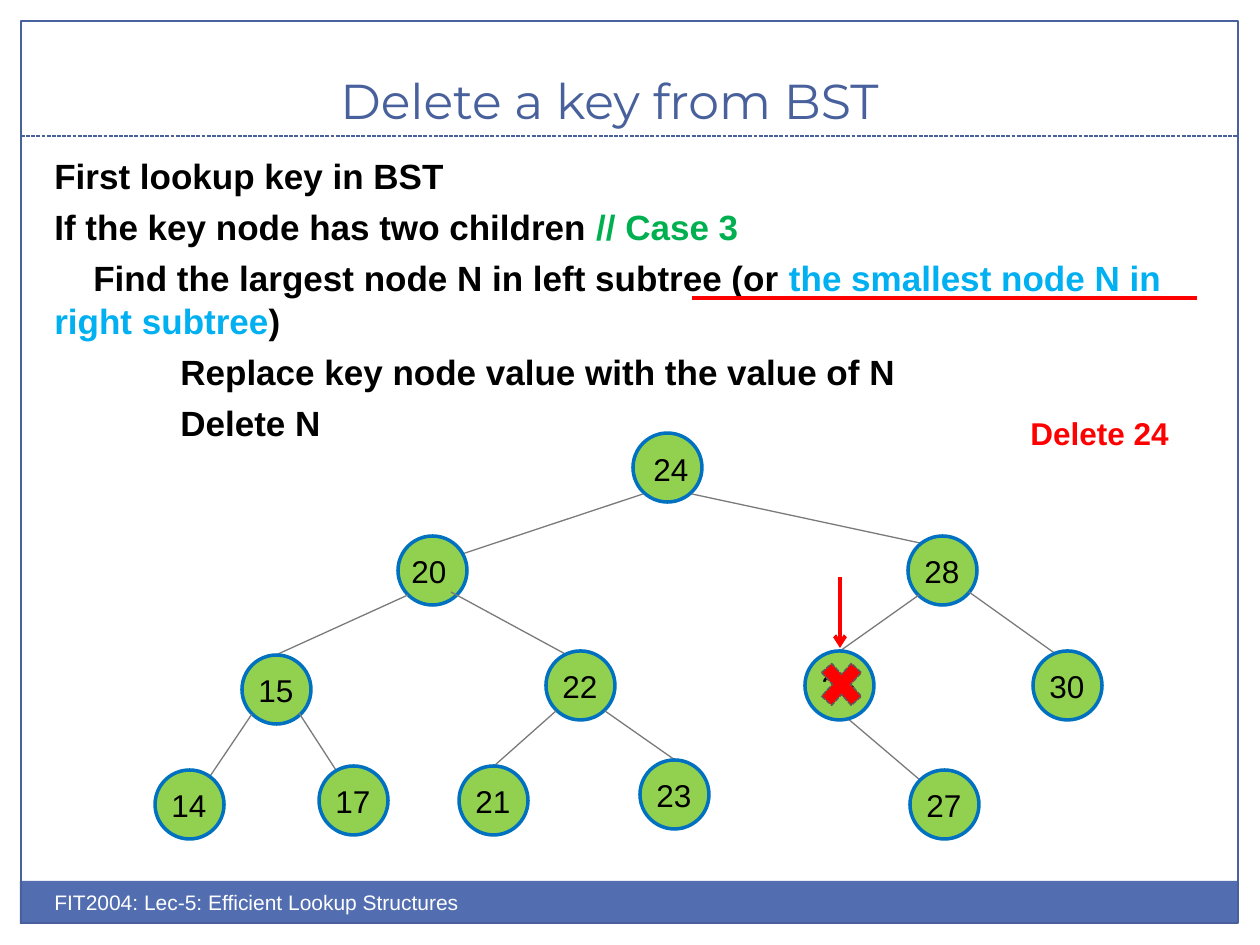
import pptx
import pptx.util
from lxml import etree
from pptx.dml.color import RGBColor
from pptx.enum.dml import MSO_LINE
from pptx.enum.shapes import MSO_CONNECTOR, MSO_SHAPE
from pptx.enum.text import MSO_ANCHOR, MSO_AUTO_SIZE, PP_ALIGN
from pptx.oxml.ns import qn

SCALE = 914400 // 126
SIZE = 69

WHITE = RGBColor(0xFF, 0xFF, 0xFF)
BLACK = RGBColor(0x00, 0x00, 0x00)
NAVY = RGBColor(0x48, 0x60, 0x9B)
BAR = RGBColor(0x52, 0x6D, 0xB0)
GRAY = RGBColor(0x7A, 0x7A, 0x7A)
DARK = RGBColor(0x5A, 0x5A, 0x5A)
LIME = RGBColor(0x92, 0xD0, 0x50)
RIM = RGBColor(0x00, 0x70, 0xC0)
RED = RGBColor(0xFF, 0x00, 0x00)
GREEN = RGBColor(0x00, 0xB0, 0x50)
SKY = RGBColor(0x00, 0xB0, 0xF0)


def emu(*pixels):
    """Turn pixels into EMU."""
    return [pptx.util.Emu(p * SCALE) for p in pixels]


class Deck:
    """Holds the style and the current slide."""

    font = "Arial"

    def __init__(self):
        """Start a deck with one title-only slide."""
        self.file = pptx.Presentation()
        self.file.slide_width, self.file.slide_height = emu(1260, 945)
        self.slide = self.file.slides.add_slide(self.file.slide_layouts[5])
        self.shapes = self.slide.shapes

    def style(self, font, size, color, bold=False, name=None):
        """Set the look of a font."""
        font.name = name or self.font
        font.size = pptx.util.Pt(size)
        font.bold = bold
        font.color.rgb = color

    def title(self, text, box):
        """Fill and place the title."""
        title = self.shapes.title
        title.left, title.top, title.width, title.height = emu(*box)
        frame = title.text_frame
        frame.text = text
        frame.vertical_anchor = MSO_ANCHOR.BOTTOM
        para = frame.paragraphs[0]
        para.alignment = PP_ALIGN.CENTER
        self.style(para.font, 28, NAVY, name="Montserrat")

    def shape(self, kind, box, fill=None, line=None, width=0.75, home=None):
        """Add a preset shape and return it."""
        shape = (home or self.shapes).add_shape(kind, *emu(*box))
        shape.shadow.inherit = False
        if fill is None:
            shape.fill.background()
        else:
            shape.fill.solid()
            shape.fill.fore_color.rgb = fill
        if line is None:
            shape.line.fill.background()
        else:
            shape.line.color.rgb = line
            shape.line.width = pptx.util.Pt(width)
        return shape

    def line(self, ends, color=GRAY, width=0.75, dash=None, arrow=False):
        """Add a straight line from one point to another."""
        line = self.shapes.add_connector(MSO_CONNECTOR.STRAIGHT, *emu(*ends))
        line.line.color.rgb = color
        line.line.width = pptx.util.Pt(width)
        if dash:
            line.line.dash_style = dash
        if arrow:
            etree.SubElement(line.line._get_or_add_ln(), qn("a:tailEnd"), type="arrow")
        etree.SubElement(line._element.spPr, qn("a:effectLst"))

    def label(self, text, box, size=18, color=BLACK, bold=False, home=None):
        """Add one line of text that does not wrap."""
        frame = (home or self.shapes).add_textbox(*emu(*box)).text_frame
        frame.word_wrap = False
        frame.auto_size = MSO_AUTO_SIZE.SHAPE_TO_FIT_TEXT
        frame.text = text
        self.style(frame.paragraphs[0].font, size, color, bold)

    def body(self, rows, box):
        """Add paragraphs, each with a first-line indent and coloured runs."""
        frame = self.shapes.add_textbox(*emu(*box)).text_frame
        frame.word_wrap = True
        for i, (indent, runs) in enumerate(rows):
            para = frame.add_paragraph() if i else frame.paragraphs[0]
            para.space_before = pptx.util.Pt(4)
            para.line_spacing = 1.04
            para._p.get_or_add_pPr().set("indent", str(indent * SCALE))
            self.style(para.font, 20, BLACK, True)
            for text, color in runs:
                run = para.add_run()
                run.text = text
                self.style(run.font, 20, color, True)

    def node(self, key, left, top, shift=(4, 10)):
        """Add a tree node: a circle grouped with its key."""
        home = self.shapes.add_group_shape().shapes
        self.shape(MSO_SHAPE.OVAL, (left, top, SIZE, SIZE), LIME, RIM, 2, home)
        self.label(str(key), (left + shift[0], top + shift[1], 60, 50), home=home)


ROWS = [
    (0, [("First lookup key in BST", BLACK)]),
    (0, [("If the key node has two children ", BLACK), ("// Case 3", GREEN)]),
    (39, [("Find the largest node N in left subtree (or ", BLACK),
          ("the smallest node N in right subtree", SKY), (")", BLACK)]),
    (126, [("Replace key node value with the value of N", BLACK)]),
    (126, [("Delete N", BLACK)]),
]

# Each node: key, left, top and perhaps a key shift; then the edges below it.
TREE = [
    ((24, 633, 433, (8, 11)), [(643, 494, 432, 564), (692, 494, 934, 546)]),
    ((20, 398, 536, (1, 10)), [(408, 595, 276, 655), (451, 592, 580, 662)]),
    ((15, 242, 655), [(252, 714, 190, 806), (299, 713, 354, 798)]),
    ((22, 546, 651), [(556, 711, 494, 766), (605, 711, 675, 760)]),
    ((28, 908, 536), [(919, 595, 840, 651), (969, 592, 1067, 662)]),
    ((23, 640, 760), []),
    ((21, 459, 766), []),
    ((17, 319, 766), []),
    ((14, 155, 770), []),
    ((30, 1033, 651), []),
    ((27, 910, 770), []),
    ((26, 805, 651), []),
]

deck = Deck()
deck.shape(MSO_SHAPE.RECTANGLE, (20, 881, 1218, 43), BAR)
deck.shape(MSO_SHAPE.RECTANGLE, (21, 21, 1217, 902), line=NAVY)
deck.line((21, 136, 1238, 136), NAVY, dash=MSO_LINE.SQUARE_DOT)
deck.title("Delete a key from BST", (-10, 32, 1239, 104))
deck.body(ROWS, (42, 147, 1197, 336))
deck.label("FIT2004: Lec-5: Efficient Lookup Structures", (42, 883, 430, 40), 12, WHITE)

deck.line((920, 780, 840, 712))
for node, edges in TREE:
    deck.node(*node)
    for edge in edges:
        deck.line(edge)

deck.label("Delete 24", (1018, 408, 165, 50), color=RED, bold=True)
deck.line((840, 577, 840, 648), RED, 2.25, arrow=True)
cross = deck.shape(MSO_SHAPE.MATH_MULTIPLY, (813, 653, 57, 63), RED, DARK, 0.9)
cross.line.dash_style = MSO_LINE.SQUARE_DOT
deck.line((692, 298, 1197, 298), RED, 1.75)

deck.file.save("out.pptx")
